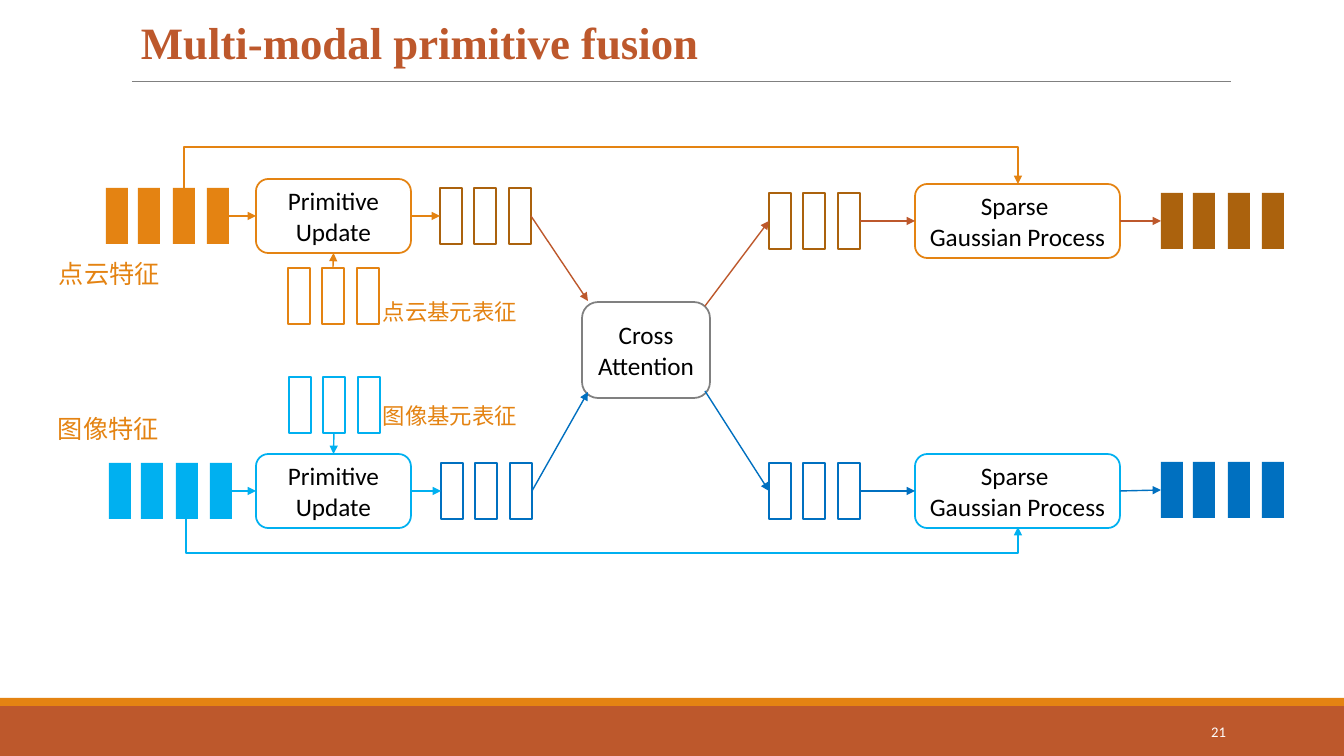
from lxml import etree
from pptx import Presentation
from pptx.dml.color import RGBColor
from pptx.enum.shapes import MSO_CONNECTOR, MSO_SHAPE
from pptx.enum.text import MSO_ANCHOR, PP_ALIGN
from pptx.oxml.ns import qn
from pptx.util import Pt

RECT, ROUND = MSO_SHAPE.RECTANGLE, MSO_SHAPE.ROUNDED_RECTANGLE
STRAIGHT, ELBOW = MSO_CONNECTOR.STRAIGHT, MSO_CONNECTOR.ELBOW
TOP, MIDDLE, BOTTOM = MSO_ANCHOR.TOP, MSO_ANCHOR.MIDDLE, MSO_ANCHOR.BOTTOM
LEFT, CENTER, RIGHT = PP_ALIGN.LEFT, PP_ALIGN.CENTER, PP_ALIGN.RIGHT
NORTH, WEST, SOUTH, EAST = range(4)
PX = 9071
COLORS = {
    "rust": "BD582C", "orange": "E48312", "brown": "AB620D", "sky": "00B0F0",
    "blue": "0070C0", "gray": "808080", "white": "FFFFFF", "black": "000000",
}
RGB = {name: RGBColor.from_string(value) for name, value in COLORS.items()}

deck = Presentation()
deck.slide_width, deck.slide_height = 1344 * PX, 756 * PX
page = deck.slides.add_slide(deck.slide_layouts[6])


def add_box(kind, frame, fill=None, line=None):
    box = page.shapes.add_shape(kind, *[value * PX for value in frame])
    box.shadow.inherit = False
    if fill:
        box.fill.solid()
        box.fill.fore_color.rgb = RGB[fill]
    else:
        box.fill.background()
    if line:
        box.line.color.rgb = RGB[line]
        box.line.width = Pt(1.25)
    else:
        box.line.fill.background()
    return box


def write(box, lines, size, color, font="Calibri", align=LEFT, anchor=TOP, bold=False):
    box.text_frame.word_wrap = True
    box.text_frame.vertical_anchor = anchor
    box.text_frame.text = "\n".join(lines)
    for para in box.text_frame.paragraphs:
        para.alignment = align
        span = para.runs[0]
        span.font.color.rgb = RGB[color]
        for name, value in {"size": Pt(size), "name": font, "bold": bold}.items():
            setattr(span.font, name, value)
        etree.SubElement(span.font._element, qn("a:ea"), typeface=font)
    return box


add_box(RECT, (0, 706, 1344, 50), "rust")
add_box(RECT, (0, 698, 1344, 8), "orange")

CJK = "Noto Sans CJK SC"
texts = [
    ((131, 20, 1090, 54), "Multi-modal primitive fusion",
     {"size": 32, "color": "rust", "font": "Times New Roman", "anchor": BOTTOM, "bold": True}),
    ((1092, 712, 144, 40), "21",
     {"size": 10.5, "color": "white", "align": RIGHT, "anchor": MIDDLE}),
    ((49, 253, 127, 40), "点云特征", {"size": 18, "color": "orange", "font": CJK}),
    ((48, 408, 127, 40), "图像特征", {"size": 18, "color": "orange", "font": CJK}),
    ((373, 293, 161, 37), "点云基元表征", {"size": 16, "color": "orange", "font": CJK}),
    ((373, 397, 161, 37), "图像基元表征", {"size": 16, "color": "orange", "font": CJK}),
]
for frame, text, style in texts:
    label = page.shapes.add_textbox(*[value * PX for value in frame])
    write(label, [text], **style)
    if style["size"] == 32:
        label.text_frame.paragraphs[0].line_spacing = 0.85

FOUR, THREE = (0, 32, 67, 101), (0, 34, 69)
bar_groups = [
    ("cloud features", 106, 188, FOUR, "orange", None),
    ("image features", 109, 463, FOUR, "sky", None),
    ("cloud primitives", 288, 268, THREE, None, "orange"),
    ("image primitives", 289, 377, THREE, None, "sky"),
    ("cloud updated", 440, 188, THREE, None, "brown"),
    ("image updated", 441, 463, THREE, None, "blue"),
    ("cloud attended", 769, 193, THREE, None, "brown"),
    ("image attended", 769, 463, THREE, None, "blue"),
    ("cloud output", 1161, 193, FOUR, "brown", None),
    ("image output", 1161, 462, FOUR, "blue", None),
]
bars = {
    name: [add_box(RECT, (left + offset, top, 22, 56), fill, line) for offset in offsets]
    for name, left, top, offsets, fill, line in bar_groups
}

UPDATE, PROCESS = ["Primitive Update"], ["Sparse ", "Gaussian Process"]
steps = [
    ("cloud update", (256, 179, 155, 74), UPDATE, "white", "orange"),
    ("image update", (256, 454, 155, 74), UPDATE, "white", "sky"),
    ("cloud process", (915, 184, 205, 74), PROCESS, "white", "orange"),
    ("image process", (915, 454, 205, 74), PROCESS, "white", "sky"),
    ("attention", (582, 302, 128, 96), ["Cross Attention"], None, "gray"),
]
boxes = {}
for name, frame, lines, fill, line in steps:
    box = add_box(ROUND, frame, fill, line)
    boxes[name] = write(box, lines, 18, "black", align=CENTER, anchor=MIDDLE)
    box.text_frame.margin_left = box.text_frame.margin_right = 5 * PX

divider = page.shapes.add_connector(STRAIGHT, 132 * PX, 81 * PX, 1231 * PX, 81 * PX)
links = [(divider, "gray", 0.5)]

modes = [
    ("cloud", "orange", "rust", SOUTH, (588, 301), (705, 306)),
    ("image", "sky", "blue", NORTH, (588, 392), (705, 391)),
]
for mode, light, dark, side, entry, departure in modes:
    features, primitives, updated, attended, output = [
        bars[f"{mode} {stage}"]
        for stage in ("features", "primitives", "updated", "attended", "output")
    ]
    update, process = boxes[f"{mode} update"], boxes[f"{mode} process"]
    joined = [
        (features[-1], EAST, update, WEST, light),
        (primitives[1], NORTH if side == SOUTH else SOUTH, update, side, light),
        (update, EAST, updated[0], WEST, light),
        (attended[-1], EAST, process, WEST, dark),
        (process, EAST, output[0], WEST, dark),
    ]
    for source, source_side, target, target_side, color in joined:
        arrow = page.shapes.add_connector(STRAIGHT, 0, 0, 0, 0)
        arrow.begin_connect(source, source_side)
        arrow.end_connect(target, target_side)
        links.append((arrow, color, 1))
    inward = page.shapes.add_connector(STRAIGHT, 0, 0, entry[0] * PX, entry[1] * PX)
    inward.begin_connect(updated[-1], EAST)
    outward = page.shapes.add_connector(STRAIGHT, departure[0] * PX, departure[1] * PX, 0, 0)
    outward.end_connect(attended[0], WEST)
    links += [(inward, dark, 1), (outward, dark, 1)]

bypasses = [
    ((184, 188), (1018, 184), 147, "orange", {"rot": "5400000", "flipH": "1", "flipV": "1"}),
    ((186, 519), (1018, 527), 553, "sky", {"rot": "16200000", "flipH": "1"}),
]
for (start_x, start_y), (end_x, end_y), turn_y, color, turn in bypasses:
    span_x, span_y = end_x - start_x, abs(end_y - start_y)
    left = (start_x + end_x - span_y) // 2
    top = (start_y + end_y - span_x) // 2
    bypass = page.shapes.add_connector(
        ELBOW, left * PX, top * PX, (left + span_y) * PX, (top + span_x) * PX)
    properties = bypass._element.spPr
    for name, value in turn.items():
        properties.find(qn("a:xfrm")).set(name, value)
    bend = abs(turn_y - start_y) * 100000 // span_y
    guides = properties.find(qn("a:prstGeom")).find(qn("a:avLst"))
    etree.SubElement(guides, qn("a:gd"), name="adj1", fmla=f"val {bend}")
    links.append((bypass, color, 1))

for link, color, weight in links:
    link.line.color.rgb = RGB[color]
    link.line.width = Pt(weight)
    if link is not divider:
        etree.SubElement(link.line._get_or_add_ln(), qn("a:tailEnd"), type="triangle")
    etree.SubElement(link._element.spPr, qn("a:effectLst"))

deck.save("out.pptx")
